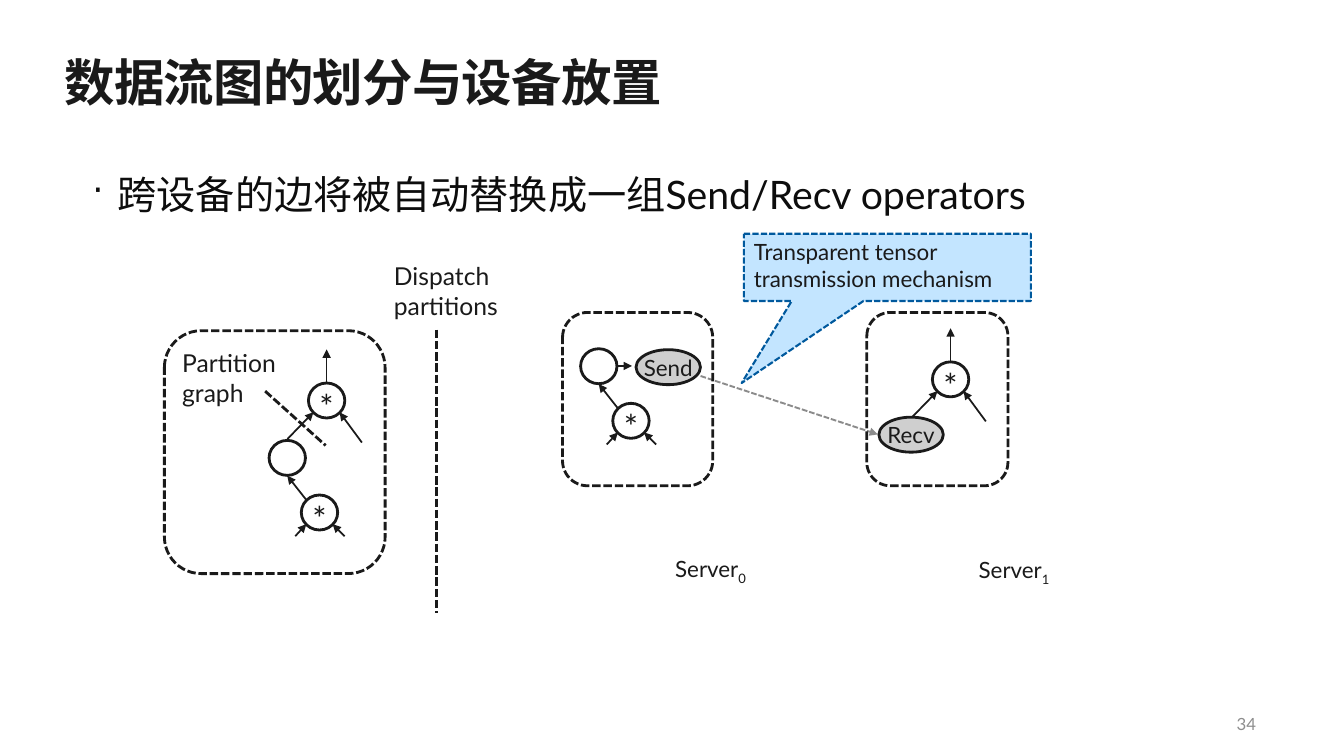
from lxml.etree import SubElement
from pptx import Presentation
from pptx.dml.color import RGBColor
from pptx.enum.dml import MSO_LINE
from pptx.enum.shapes import MSO_CONNECTOR, MSO_SHAPE
from pptx.enum.text import MSO_ANCHOR, MSO_AUTO_SIZE, PP_ALIGN
from pptx.oxml.ns import qn
from pptx.util import Pt

FONT = "Lato"
INK = RGBColor(0x1A, 0x1A, 0x1A)
BODY_INK = RGBColor(0x0D, 0x0D, 0x0D)
GREY = RGBColor(0x8D, 0x8D, 0x8D)
LINK = RGBColor(0x19, 0x19, 0x19)
OPERATOR_FILL = RGBColor(0xCF, 0xCF, 0xCF)
CALLOUT_FILL = RGBColor(0xC3, 0xE5, 0xFF)
CALLOUT_LINE = RGBColor(0x00, 0x59, 0x9D)
NODE_W, NODE_H = 26, 25


def format_runs(tf, size, color, bold=False):
    for p in tf.paragraphs:
        for r in p.runs:
            r.font.name = FONT
            r.font.size = Pt(size)
            r.font.bold = bold
            r.font.color.rgb = color


def set_margins(tf, left, top, right, bottom):
    tf.margin_left, tf.margin_top = Pt(left), Pt(top)
    tf.margin_right, tf.margin_bottom = Pt(right), Pt(bottom)


def add_title(s, text):
    sp = s.shapes.title
    sp.left, sp.top, sp.width, sp.height = Pt(46), Pt(36), Pt(868), Pt(44)
    tf = sp.text_frame
    tf.text = text
    tf.auto_size = MSO_AUTO_SIZE.NONE
    tf.vertical_anchor = MSO_ANCHOR.MIDDLE
    set_margins(tf, 0, 0, 0, 0)
    p = tf.paragraphs[0]
    p.alignment = PP_ALIGN.LEFT
    format_runs(tf, 36, INK, True)
    p.runs[0].font._element.set("spc", "-50")


def add_label(s, text, x, y, w, h, size, color=INK):
    tf = s.shapes.add_textbox(Pt(x), Pt(y), Pt(w), Pt(h)).text_frame
    tf.word_wrap = True
    tf.text = text
    format_runs(tf, size, color)
    return tf


def add_bullet(s, text):
    tf = add_label(s, text, 66, 121.5, 840, 34, 28, BODY_INK)
    set_margins(tf, 0, 0, 0, 0)
    pPr = tf.paragraphs[0]._p.get_or_add_pPr()
    pPr.set("marL", str(Pt(18)))
    pPr.set("indent", str(Pt(-18)))
    SubElement(pPr, qn("a:buSzPct")).set("val", "90000")
    SubElement(pPr, qn("a:buChar")).set("char", "·")


def add_server_label(s, index, x, y):
    tf = add_label(s, "Server", x, y, 76, 27, 16)
    tf.paragraphs[0].add_run().text = index
    format_runs(tf, 16, INK)
    tf.paragraphs[0].runs[1].font._element.set("baseline", "-25000")


def add_box(s, kind, x, y, w, h, fill=None, line=INK, width=2, dashed=False):
    sp = s.shapes.add_shape(kind, Pt(x), Pt(y), Pt(w), Pt(h))
    sp.shadow.inherit = False
    if fill is None:
        sp.fill.background()
    else:
        sp.fill.solid()
        sp.fill.fore_color.rgb = fill
    sp.line.color.rgb = line
    sp.line.width = Pt(width)
    if dashed:
        sp.line.dash_style = MSO_LINE.SQUARE_DOT
    return sp


def add_node(s, x, y, text="", w=NODE_W, fill=None, size=24, drop=0):
    sp = add_box(s, MSO_SHAPE.OVAL, x, y, w, NODE_H, fill)
    if text:
        tf = sp.text_frame
        tf.text = text
        tf.word_wrap = False
        tf.vertical_anchor = MSO_ANCHOR.MIDDLE
        set_margins(tf, 0, drop, 0, 0)
        tf.paragraphs[0].alignment = PP_ALIGN.CENTER
        format_runs(tf, size, INK)


def add_multiply(s, x, y):
    add_node(s, x, y, "*", drop=8)


def add_operator(s, x, y, text):
    add_node(s, x, y, text, 46, OPERATOR_FILL, 16)


def add_line(s, x1, y1, x2, y2, width=1.25, color=INK, dashed=False,
             arrow=True, alpha=None):
    c = s.shapes.add_connector(MSO_CONNECTOR.STRAIGHT, Pt(x1), Pt(y1), Pt(x2), Pt(y2))
    c.line.color.rgb = color
    c.line.width = Pt(width)
    if dashed:
        c.line.dash_style = MSO_LINE.SQUARE_DOT
    ln = c.line._get_or_add_ln()
    if alpha is not None:
        clr = ln.find(".//" + qn("a:srgbClr"))
        SubElement(clr, qn("a:alpha")).set("val", str(alpha * 1000))
    if arrow:
        SubElement(ln, qn("a:tailEnd")).set("type", "triangle")
    SubElement(c._element.spPr, qn("a:effectLst"))


def add_edges(s, x, y, edges):
    for x1, y1, x2, y2 in edges:
        add_line(s, x + x1, y + y1, x + x2, y + y2)


def add_input_part(s, x, y):
    add_edges(s, x, y, [(18.7, 68.4, 26.6, 59.8), (54, 68.4, 45.4, 59.8),
                        (26.6, 42.5, 13, 25.2)])
    add_node(s, x, y)
    add_multiply(s, x + 23, y + 39)


def add_output_part(s, x, y):
    add_edges(s, x, y, [(13, 0, 13, -24), (38.2, 42.5, 22.3, 20.9),
                        (-15, 40, 3.6, 20.9)])
    add_multiply(s, x, y)


def add_callout(s, text):
    sp = add_box(s, MSO_SHAPE.RECTANGULAR_CALLOUT, 531.4, 167, 205, 48,
                 CALLOUT_FILL, CALLOUT_LINE, 1.5, True)
    sp.adjustments[0], sp.adjustments[1] = -0.508, 1.721
    tf = sp.text_frame
    tf.text = text
    tf.word_wrap = True
    tf.vertical_anchor = MSO_ANCHOR.TOP
    set_margins(tf, 7.2, 3, 7.2, 3)
    tf.paragraphs[0].alignment = PP_ALIGN.LEFT
    format_runs(tf, 16, INK)


def main():
    prs = Presentation()
    prs.slide_width, prs.slide_height = Pt(960), Pt(540)
    s = prs.slides.add_slide(prs.slide_layouts[5])
    add_title(s, "数据流图的划分与设备放置")
    add_bullet(s, "跨设备的边将被自动替换成一组Send/Recv operators")

    add_input_part(s, 192.2, 314.6)
    add_output_part(s, 220.3, 273.6)
    add_line(s, 189.4, 279.4, 232.6, 318.2, 2, dashed=True, arrow=False)
    add_label(s, "Partition graph", 123, 245, 87, 51, 17.6)
    add_label(s, "Dispatch\npartitions", 274.3, 183, 96, 51, 17.6)
    add_line(s, 311.8, 235.4, 311.8, 437.8, 2, dashed=True, arrow=False)

    add_input_part(s, 414.7, 249.1)
    add_line(s, 441.4, 261.4, 451.4, 261.4)
    add_operator(s, 454.3, 249.8, "Send")
    add_output_part(s, 666, 258.5)
    add_operator(s, 627.8, 298, "Recv")

    for x, y, w, h in [(117.4, 236.2, 157.7, 173.5), (401.8, 223.2, 107.3, 123.8),
                       (619.2, 223.2, 100.8, 123.8)]:
        add_box(s, MSO_SHAPE.ROUNDED_RECTANGLE, x, y, w, h, dashed=True)
    add_line(s, 500.4, 268.6, 627.1, 310.3, 1.35, LINK, True, alpha=50)
    add_server_label(s, "0", 475.2, 393.1)
    add_server_label(s, "1", 692, 393.8)
    add_callout(s, "Transparent tensor transmission mechanism")

    tf = add_label(s, "34", 688.3, 502.6, 216, 28.8, 12, GREY)
    tf.vertical_anchor = MSO_ANCHOR.MIDDLE
    tf.paragraphs[0].alignment = PP_ALIGN.RIGHT
    prs.save("out.pptx")


if __name__ == "__main__":
    main()
